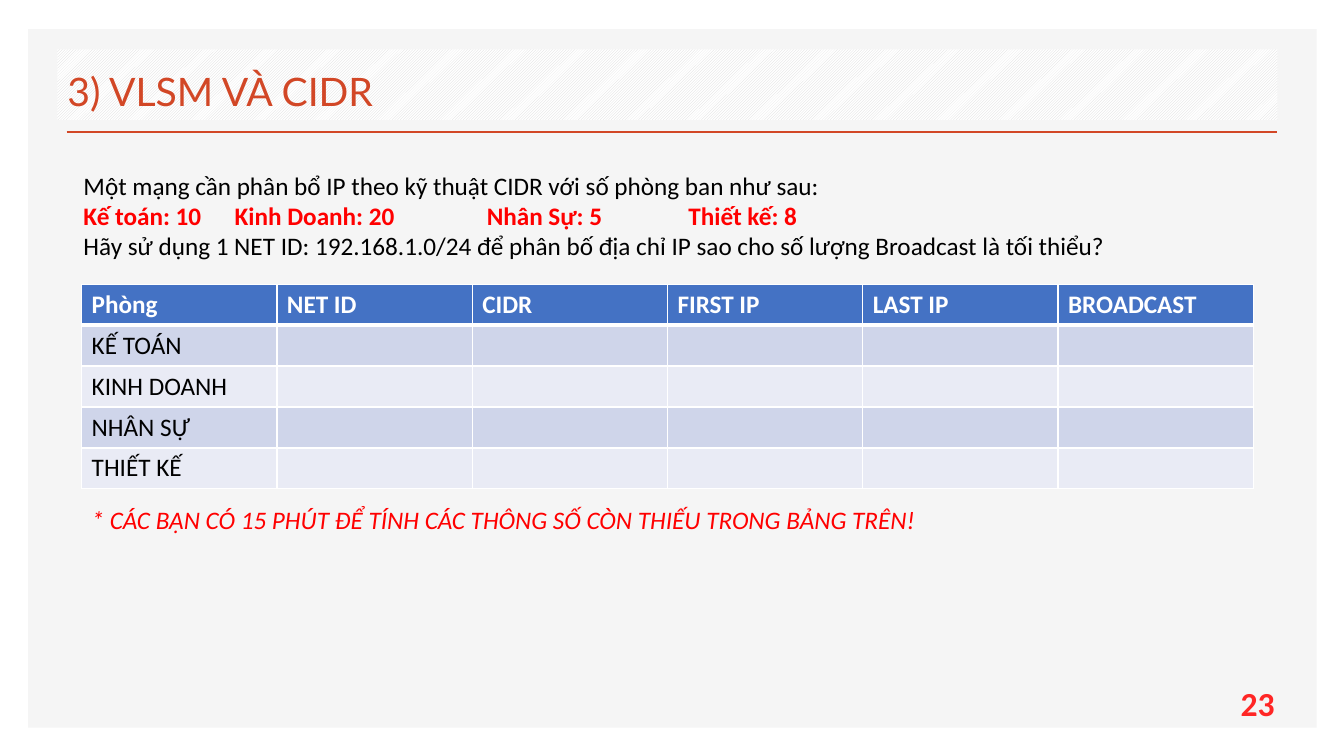
import pptx
import pptx.dml.color
import pptx.enum.dml
import pptx.enum.shapes
import pptx.enum.text
import pptx.oxml
import pptx.oxml.ns
import pptx.util
from lxml import etree

Inches = pptx.util.Inches
Pt = pptx.util.Pt
Align = pptx.enum.text.PP_ALIGN
Anchor = pptx.enum.text.MSO_ANCHOR
AutoSize = pptx.enum.text.MSO_AUTO_SIZE

ORANGE, RED, WHITE, BLACK = "D24726", "FF0000", "FFFFFF", "000000"
HEADER_BLUE, BANDS = "4472C4", ("CFD5EA", "E9EBF5")
HEADINGS = ["Phòng", "NET ID", "CIDR", "FIRST IP", "LAST IP", "BROADCAST"]
DEPARTMENTS = ["KẾ TOÁN", "KINH DOANH", "NHÂN SỰ", "THIẾT KẾ"]


def rgb(code):
    return pptx.dml.color.RGBColor.from_string(code)


def write(para, text, size=18, font="Calibri", color=BLACK, bold=False,
          italic=False, align=None, line_spacing=None):
    """Add one formatted span of text to a paragraph."""
    span = para.add_run()
    span.text = text
    span.font.size = Pt(size)
    span.font.name = font
    span.font.color.rgb = rgb(color)
    span.font.bold = bold
    span.font.italic = italic
    para.alignment = align
    para.line_spacing = line_spacing


def draw_borders(cell, color, **widths):
    """Set cell borders; the keywords L, R, T and B give widths in points."""
    properties = cell._tc.get_or_add_tcPr()
    for side, width in widths.items():
        properties.append(pptx.oxml.parse_xml(
            f'<a:ln{side} {pptx.oxml.ns.nsdecls("a")} w="{Pt(width)}">'
            f'<a:solidFill><a:srgbClr val="{color}"/></a:solidFill></a:ln{side}>'))


class SlideBuilder:
    def __init__(self, page):
        self.shapes = page.shapes

    def panel(self, left, top, width, height):
        """Add a plain rectangle without outline or shadow."""
        shape = self.shapes.add_shape(
            pptx.enum.shapes.MSO_SHAPE.RECTANGLE,
            Inches(left), Inches(top), Inches(width), Inches(height))
        shape.shadow.inherit = False
        shape.line.fill.background()
        return shape

    def rule(self, left, right, y, color, width):
        line = self.shapes.add_connector(
            pptx.enum.shapes.MSO_CONNECTOR.STRAIGHT,
            Inches(left), Inches(y), Inches(right), Inches(y))
        line.line.color.rgb = rgb(color)
        line.line.width = Pt(width)
        etree.SubElement(line._element.spPr, pptx.oxml.ns.qn("a:effectLst"))

    def text(self, left, top, width, height, lines, anchor=Anchor.TOP,
             wrap=True, grow=False):
        """Add a text box; each line is a pair of text and format."""
        box = self.shapes.add_textbox(
            Inches(left), Inches(top), Inches(width), Inches(height))
        frame = box.text_frame
        frame.word_wrap = wrap
        frame.vertical_anchor = anchor
        frame.auto_size = AutoSize.SHAPE_TO_FIT_TEXT if grow else AutoSize.NONE
        for index, (content, style) in enumerate(lines):
            para = frame.add_paragraph() if index else frame.paragraphs[0]
            write(para, content, **style)
        return box

    def table(self, left, top, width, height, headings, departments):
        """Add a table whose first column names the departments."""
        rows = [headings] + [[name] + [""] * (len(headings) - 1)
                             for name in departments]
        table = self.shapes.add_table(
            len(rows), len(headings), Inches(left), Inches(top),
            Inches(width), Inches(height)).table
        for r, row in enumerate(rows):
            for c, content in enumerate(row):
                cell = table.cell(r, c)
                draw_borders(cell, WHITE, L=1, R=1, T=3 if r == 1 else 1,
                             B=3 if r == 0 else 1)
                cell.fill.solid()
                cell.fill.fore_color.rgb = rgb(
                    BANDS[(r - 1) % 2] if r else HEADER_BLUE)
                if content:
                    write(cell.text_frame.paragraphs[0], content,
                          color=BLACK if r else WHITE, bold=r == 0)


def main():
    deck = pptx.Presentation()
    deck.slide_width, deck.slide_height = Inches(13.33), Inches(7.5)
    slide = SlideBuilder(deck.slides.add_slide(deck.slide_layouts[6]))

    background = slide.panel(0.28, 0.29, 12.78, 6.93)
    background.fill.solid()
    background.fill.fore_color.rgb = rgb("F5F5F5")
    slide.rule(0.66, 12.67, 1.31, ORANGE, 2)

    title = slide.text(
        0.57, 0.49, 12.1, 0.7,
        [("3) VLSM VÀ CIDR",
          dict(size=28, font="Lato", color=ORANGE, line_spacing=0.9))],
        anchor=Anchor.BOTTOM)
    title.fill.patterned()
    title.fill.pattern = pptx.enum.dml.MSO_PATTERN.LIGHT_UPWARD_DIAGONAL
    title.fill.fore_color.rgb = rgb("D9D9D9")
    title.fill.back_color.rgb = rgb(WHITE)

    slide.text(9.16, 6.78, 3.58, 0.4,
               [("23", dict(size=24, color="FF2625", bold=True, align=Align.RIGHT))],
               anchor=Anchor.MIDDLE)
    slide.text(0.73, 1.64, 11.7, 1.01, [
        ("Một mạng cần phân bổ IP theo kỹ thuật CIDR với số phòng ban như sau:", {}),
        ("Kế toán: 10\tKinh Doanh: 20\t\tNhân Sự: 5\t\tThiết kế: 8",
         dict(color=RED, bold=True)),
        ("Hãy sử dụng 1 NET ID: 192.168.1.0/24 để phân bố địa chỉ IP "
         "sao cho số lượng Broadcast là tối thiểu?", {}),
    ], grow=True)
    slide.table(0.81, 2.82, 11.62, 2.03, HEADINGS, DEPARTMENTS)
    slide.text(0.81, 4.95, 9.46, 0.4,
               [("* CÁC BẠN CÓ 15 PHÚT ĐỂ TÍNH CÁC THÔNG SỐ CÒN THIẾU TRONG BẢNG TRÊN!",
                 dict(color=RED, italic=True))],
               wrap=False, grow=True)

    deck.save("out.pptx")


if __name__ == "__main__":
    main()
